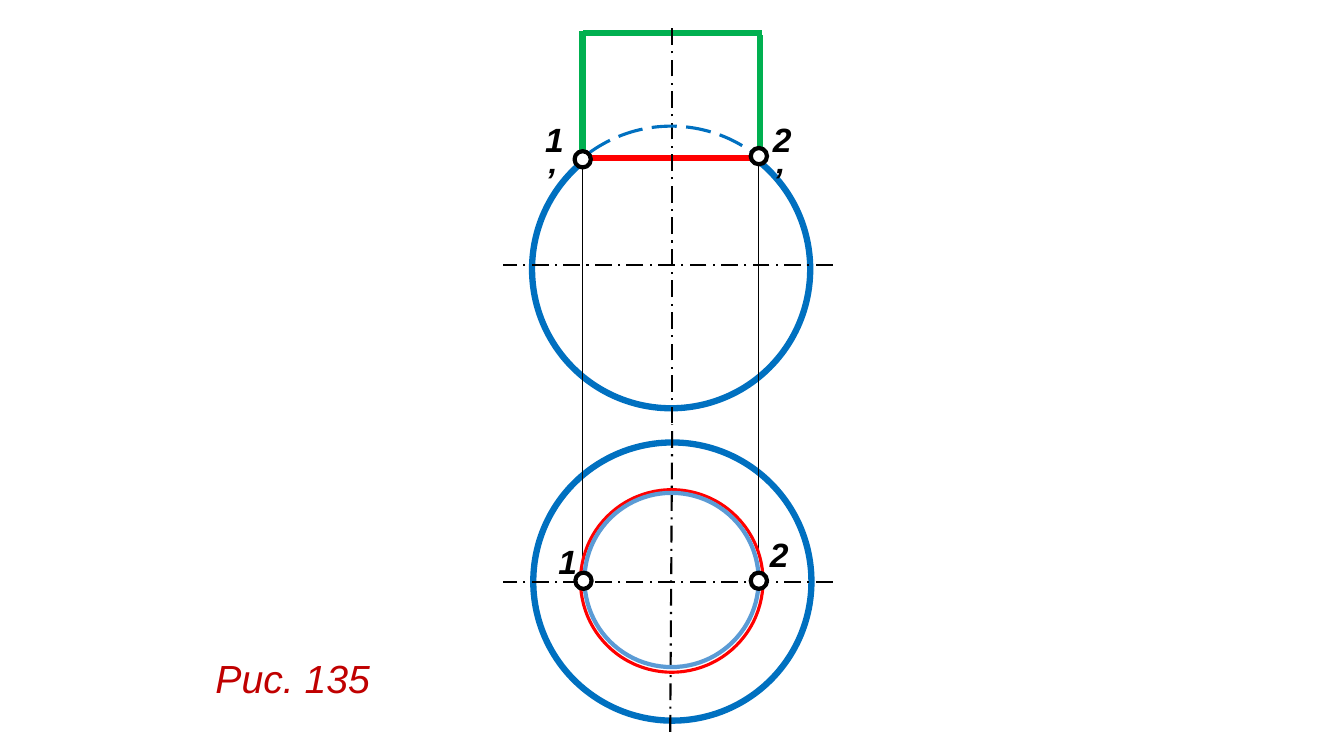
from dataclasses import dataclass

import lxml.etree
import pptx
import pptx.dml.color
import pptx.enum.dml
import pptx.enum.shapes
import pptx.enum.text
import pptx.oxml.ns
import pptx.util

Cm, Pt = pptx.util.Cm, pptx.util.Pt
DASH = pptx.enum.dml.MSO_LINE
SHAPE = pptx.enum.shapes.MSO_SHAPE
BLACK, WHITE, BLUE, LIGHT_BLUE = "000000", "FFFFFF", "0070C0", "5B9BD5"
GREEN, RED, DARK_RED = "00B050", "FF0000", "C00000"


@dataclass
class Pen:
    color: str
    width: float
    dash: DASH | None = None


@dataclass
class Segment:
    x1: float
    y1: float
    x2: float
    y2: float
    pen: Pen


@dataclass
class Circle:
    x: float
    y: float
    size: float
    pen: Pen
    fill: str | None = None


@dataclass
class Arc:
    """Clockwise arc between two angles in degrees."""
    x: float
    y: float
    size: float
    pen: Pen
    start: float
    end: float


@dataclass
class Label:
    text: str
    x: float
    y: float
    width: float
    height: float = 1.27
    wrap: bool = False
    size: float = 24
    color: str = BLACK
    bold: bool = True


AXIS = Pen(BLACK, 1.5, DASH.LONG_DASH_DOT)
PROJECTION = Pen(BLACK, 0.5)
SPHERE = Pen(BLUE, 4.5)
HIDDEN = Pen(BLUE, 2.25, DASH.LONG_DASH)
CYLINDER = Pen(GREEN, 4.5)
CUT = Pen(RED, 4.5)
CUT_TOP = Pen(RED, 2.25)
CYLINDER_TOP = Pen(LIGHT_BLUE, 3)
POINT = Pen(BLACK, 3)
SPHERE_SIZE, POINT_SIZE = 7.01, 0.41

# From back to front, in centimetres
DRAWING = [
    Arc(13.41, 3.28, SPHERE_SIZE, SPHERE, 307.75, 230.09),
    Segment(19.15, 3.99, 19.15, 0.89, CYLINDER),
    Segment(20.98, 6.68, 12.67, 6.68, AXIS),
    Circle(13.44, 11.15, SPHERE_SIZE, SPHERE, WHITE),
    Segment(14.68, 4.04, 14.68, 14.63, PROJECTION),
    Segment(19.2, 0.84, 14.68, 0.84, CYLINDER),
    Segment(14.68, 3.94, 14.68, 0.79, CYLINDER),
    Segment(19.2, 3.99, 14.68, 3.99, CUT),
    Segment(16.94, 10.67, 16.94, 0.66, AXIS),
    Label("1", 13.82, 13.51, 0.79),
    Segment(19.1, 3.99, 19.1, 14.68, PROJECTION),
    Circle(14.63, 12.34, 4.6, CUT_TOP, WHITE),
    Segment(20.98, 14.66, 12.67, 14.66, AXIS),
    Segment(16.89, 18.44, 16.94, 10.69, AXIS),
    Label("1’", 13.49, 2.87, 0.99, wrap=True),
    Label("2", 19.15, 13.34, 0.91),
    Label("2’", 19.23, 2.87, 1.12, wrap=True),
    Arc(13.41, 3.18, SPHERE_SIZE, HIDDEN, 233.57, 312.02),
    Circle(18.92, 3.73, POINT_SIZE, POINT, WHITE),
    Circle(14.48, 3.81, POINT_SIZE, POINT, WHITE),
    Label("Рис. 135", 5.18, 16.36, 5.11, 1.45, True, 28, DARK_RED, False),
    Circle(14.73, 12.42, 4.39, CYLINDER_TOP),
    Circle(14.5, 14.43, POINT_SIZE, POINT, WHITE),
    Circle(18.92, 14.43, POINT_SIZE, POINT, WHITE),
]


def rgb(value: str) -> pptx.dml.color.RGBColor:
    return pptx.dml.color.RGBColor.from_string(value)


def apply_pen(line, pen: Pen) -> None:
    line.color.rgb = rgb(pen.color)
    for name, value in {"width": Pt(pen.width), "dash_style": pen.dash}.items():
        setattr(line, name, value)


def draw_segment(shapes, seg: Segment) -> None:
    ends = map(Cm, (seg.x1, seg.y1, seg.x2, seg.y2))
    sp = shapes.add_connector(pptx.enum.shapes.MSO_CONNECTOR.STRAIGHT, *ends)
    apply_pen(sp.line, seg.pen)
    lxml.etree.SubElement(sp._element.spPr, pptx.oxml.ns.qn("a:effectLst"))


def add_outline(shapes, kind: SHAPE, item: Circle | Arc):
    box = map(Cm, (item.x, item.y, item.size, item.size))
    sp = shapes.add_shape(kind, *box)
    sp.shadow.inherit = False
    sp.fill.background()
    apply_pen(sp.line, item.pen)
    return sp


def draw_circle(shapes, circle: Circle) -> None:
    sp = add_outline(shapes, SHAPE.OVAL, circle)
    if circle.fill:
        sp.fill.solid()
        sp.fill.fore_color.rgb = rgb(circle.fill)


def draw_arc(shapes, arc: Arc) -> None:
    sp = add_outline(shapes, SHAPE.ARC, arc)
    for i, angle in enumerate((arc.start, arc.end)):
        sp.adjustments[i] = angle * 0.6  # 60000 units a degree, scaled by 100000


def draw_label(shapes, label: Label) -> None:
    box = map(Cm, (label.x, label.y, label.width, label.height))
    tf = shapes.add_textbox(*box).text_frame
    tf.word_wrap = label.wrap
    tf.auto_size = pptx.enum.text.MSO_AUTO_SIZE.SHAPE_TO_FIT_TEXT
    r = tf.paragraphs[0].add_run()
    r.text = label.text
    font = {"name": "Arial", "size": Pt(label.size), "bold": label.bold, "italic": True}
    for name, value in font.items():
        setattr(r.font, name, value)
    r.font.color.rgb = rgb(label.color)


def main() -> None:
    prs = pptx.Presentation()
    prs.slide_width, prs.slide_height = Cm(33.87), Cm(19.05)
    s = prs.slides.add_slide(prs.slide_layouts[6])
    draw = {Segment: draw_segment, Circle: draw_circle, Arc: draw_arc, Label: draw_label}
    for item in DRAWING:
        draw[type(item)](s.shapes, item)
    prs.save("out.pptx")


if __name__ == "__main__":
    main()
